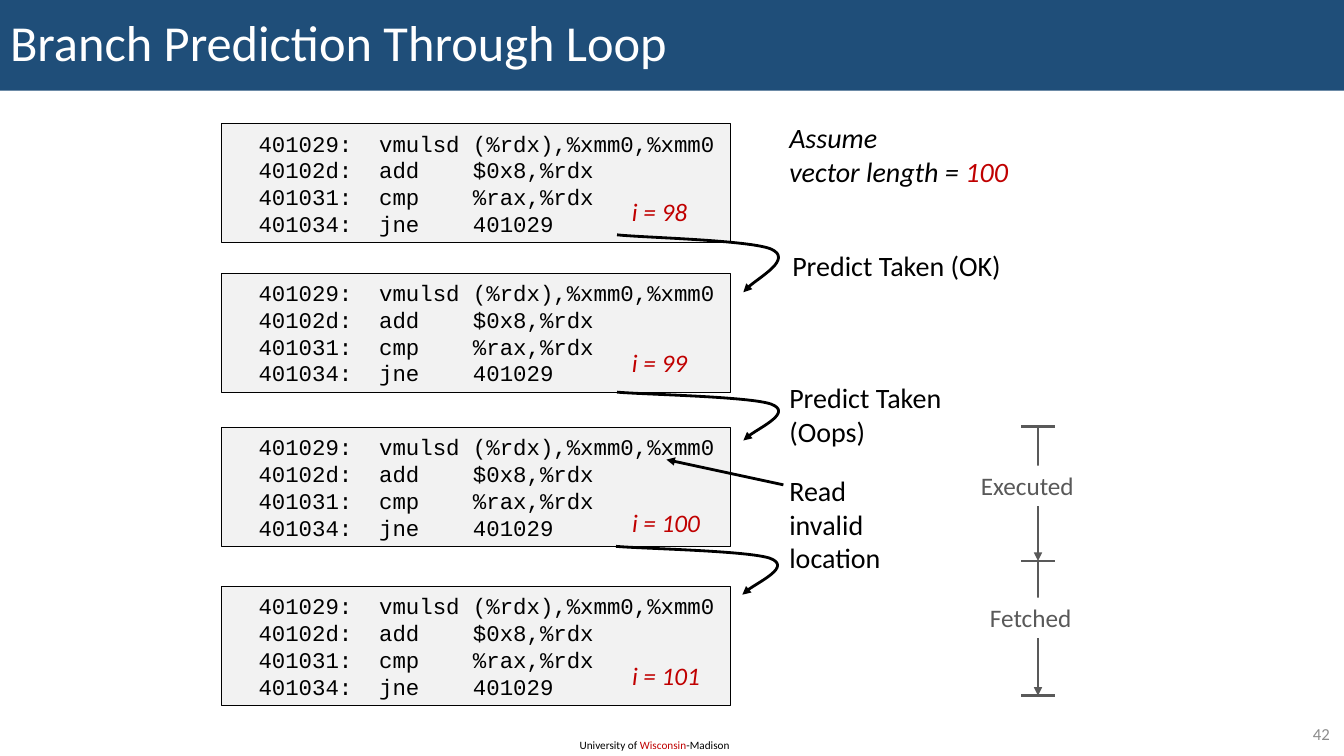
from dataclasses import dataclass

from lxml import etree
from pptx import Presentation
from pptx.dml.color import RGBColor
from pptx.enum.shapes import MSO_CONNECTOR, MSO_SHAPE
from pptx.enum.text import MSO_ANCHOR, MSO_AUTO_SIZE, PP_ALIGN
from pptx.oxml.ns import qn
from pptx.util import Inches, Pt

STRAIGHT = MSO_CONNECTOR.STRAIGHT
RECTANGLE = MSO_SHAPE.RECTANGLE
MIDDLE = MSO_ANCHOR.MIDDLE
NO_FIT = MSO_AUTO_SIZE.NONE
LEFT, RIGHT = PP_ALIGN.LEFT, PP_ALIGN.RIGHT

COLORS = {"banner": "1F4E79", "code": "F2F2F2", "ink": "000000", "accent": "C00000",
          "grey": "595959", "number": "8C8C8C", "white": "FFFFFF"}
TITLE_ONLY = 5
CODE = [
    "  401029:  vmulsd (%rdx),%xmm0,%xmm0",
    "  40102d:  add    $0x8,%rdx",
    "  401031:  cmp    %rax,%rdx",
    "  401034:  jne    401029",
]
# Loop index, top of its code block, top of its label inside the block
ITERATIONS = [(98, 1.23, 0.67), (99, 2.71, 0.69), (100, 4.24, 0.74), (101, 5.82, 0.68)]
# Left, top and height of each jump to the next iteration
JUMPS = [(6.12, 2.33, 0.57), (6.12, 3.89, 0.48), (6.11, 5.42, 0.48)]
# Start of the jump, then two Bezier segments, as shares of its box
JUMP_CURVE = [(0, 0), (0.15, 0.05), (0.76, 0.09), (0.88, 0.25),
              (1, 0.42), (0.75, 0.85), (0.72, 1)]


@dataclass
class Box:
    left: float
    top: float
    width: float
    height: float

    def inside(self, left, top, width, height):
        return Box(self.left + left, self.top + top, width, height)

    def point(self, across, down):
        return (Inches(self.left + across * self.width),
                Inches(self.top + down * self.height))

    def emu(self):
        return [Inches(v) for v in (self.left, self.top, self.width, self.height)]


def color(name):
    return RGBColor.from_string(COLORS[name])


def write(frame, lines, size, font="Calibri", ink="ink", italic=False, align=LEFT):
    """Fill a frame; a line is a string or a list of (string, colour) pairs."""
    for index, line in enumerate(lines):
        paragraph = frame.add_paragraph() if index else frame.paragraphs[0]
        paragraph.alignment = align
        for words, run_ink in [(line, ink)] if isinstance(line, str) else line:
            run = paragraph.add_run()
            run.text = words
            formats = {"name": font, "size": Pt(size), "italic": italic}
            for key, value in formats.items():
                setattr(run.font, key, value)
            run.font.color.rgb = color(run_ink)


def add_text(slide, box, lines, size, wrap=False, fill=None, **formats):
    label = slide.shapes.add_textbox(*box.emu())
    label.text_frame.word_wrap = wrap
    if fill:
        label.fill.solid()
        label.fill.fore_color.rgb = color(fill)
    write(label.text_frame, lines, size, **formats)
    return label


def style_line(shape, ink, arrow):
    shape.line.color.rgb = color(ink)
    shape.line.width = Pt(2)
    if arrow:
        etree.SubElement(shape.line._get_or_add_ln(), qn("a:tailEnd"), type="triangle")


def add_line(slide, start, end, ink, arrow=False):
    connector = slide.shapes.add_connector(STRAIGHT, *start, *end)
    style_line(connector, ink, arrow)
    etree.SubElement(connector._element.spPr, qn("a:effectLst"))


def add_jump(slide, box):
    points = [box.point(*share) for share in JUMP_CURVE]
    builder = slide.shapes.build_freeform(*points[0])
    builder.add_line_segments(points[1:], close=False)
    jump = builder.convert_to_shape()
    jump.shadow.inherit = False
    jump.fill.background()
    style_line(jump, "ink", arrow=True)
    # Turn every three straight segments into one Bezier segment
    outline = next(jump._element.iter(qn("a:path")))
    segments = outline.findall(qn("a:lnTo"))
    for first in range(0, len(segments), 3):
        curve = etree.SubElement(outline, qn("a:cubicBezTo"))
        for segment in segments[first:first + 3]:
            curve.append(segment[0])
            outline.remove(segment)


def add_banner(slide, box):
    title = slide.shapes.title
    title.left, title.top, title.width, title.height = box.emu()
    title.fill.solid()
    title.fill.fore_color.rgb = color("banner")
    frame = title.text_frame
    frame.auto_size = NO_FIT
    frame.vertical_anchor = MIDDLE
    write(frame, ["Branch Prediction Through Loop"], 36, ink="white")
    frame.paragraphs[0].line_spacing = 0.9


def add_iteration(slide, box, index, label_top):
    block = slide.shapes.add_shape(RECTANGLE, *box.emu())
    block.shadow.inherit = False
    block.fill.solid()
    block.fill.fore_color.rgb = color("code")
    block.line.color.rgb = color("ink")
    block.line.width = Pt(0.75)
    block.text_frame.word_wrap = False
    write(block.text_frame, CODE, 16, font="Courier New")
    label_width = 0.76 if index < 100 else 0.89
    add_text(slide, box.inside(3.97, label_top, label_width, 0.4), [f"i = {index}"], 18,
             ink="accent", italic=True)


def add_trace(slide, box):
    for index, top, label_top in ITERATIONS:
        block = box.inside(0, top - box.top, box.width, 1.18)
        add_iteration(slide, block, index, label_top)
    for left, top, height in JUMPS:
        add_jump(slide, Box(left, top, 1.74, height))


def add_remarks(slide, box):
    assumption = ["Assume", [("vector length = ", "ink"), ("100", "accent")]]
    add_text(slide, box.inside(0, 0, 2.43, 0.77), assumption, 20, italic=True)
    add_text(slide, box.inside(0.03, 1.27, 2.34, 0.44), ["Predict Taken (OK)"], 20)
    add_text(slide, box.inside(0, 2.58, 1.76, 0.77), ["Predict Taken", "(Oops)"], 20)
    add_text(slide, box.inside(0, 3.5, 1.42, 1.11), ["Read invalid location"], 20, wrap=True)
    pointer = box.inside(-1.12, 3.41, 1.16, 0.25)
    add_line(slide, pointer.point(1, 1), pointer.point(0, 0), "ink", arrow=True)


def add_timeline(slide, box):
    for start in (0, 0.5):
        add_line(slide, box.point(0.5, start), box.point(0.5, start + 0.5), "grey", arrow=True)
    for down in (0, 0.5, 1):
        add_line(slide, box.point(0, down), box.point(1, down), "grey")
    for stage, left, top, width in [("Executed", -0.5, 0.39, 1.13),
                                    ("Fetched", -0.41, 1.7, 1.02)]:
        add_text(slide, box.inside(left, top, width, 0.4), [stage], 18,
                 fill="white", ink="grey")


def add_footer(slide, box):
    school = [("University of ", "ink"), ("Wisconsin", "accent"), ("-Madison", "ink")]
    add_text(slide, box.inside(5.65, 0.15, 1.72, 0.24), [school], 8)
    number = add_text(slide, box.inside(12.53, 0, 0.76, 0.29), ["42"], 12, wrap=True,
                      ink="number", align=RIGHT)
    number.text_frame.vertical_anchor = MIDDLE


def main():
    deck = Presentation()
    deck.slide_width, deck.slide_height = Inches(13.33), Inches(7.5)
    slide = deck.slides.add_slide(deck.slide_layouts[TITLE_ONLY])
    add_banner(slide, Box(0, 0, 13.33, 0.9))
    add_trace(slide, Box(2.2, 1.23, 5.05, 5.77))
    add_remarks(slide, Box(7.73, 1.15, 2.43, 4.61))
    add_timeline(slide, Box(10.13, 4.23, 0.33, 2.67))
    add_footer(slide, Box(0, 7.13, 13.33, 0.37))
    deck.save("out.pptx")


if __name__ == "__main__":
    main()
